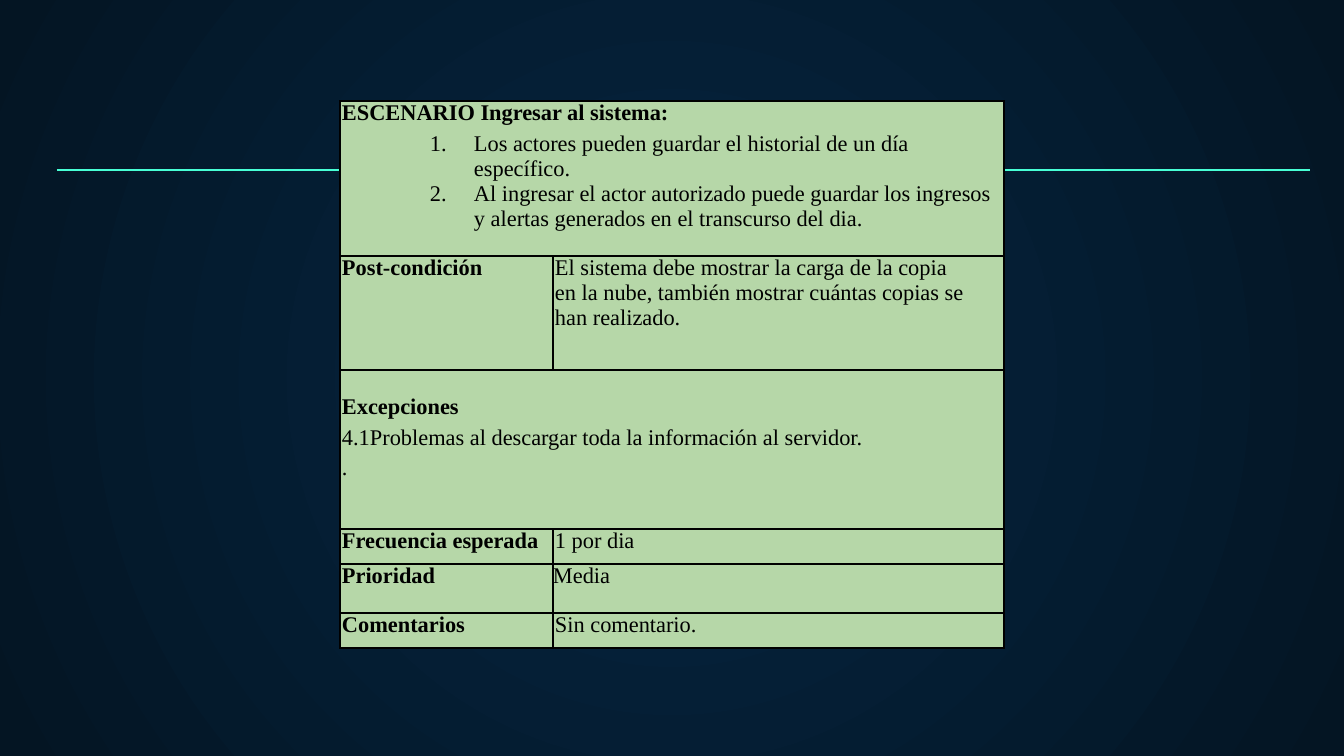
from dataclasses import dataclass

from lxml.etree import SubElement
from pptx import Presentation
from pptx.dml.color import RGBColor
from pptx.enum.shapes import MSO_CONNECTOR
from pptx.oxml.ns import qn
from pptx.table import _Cell
from pptx.util import Pt

EMU_PER_PX = 914400 / 134.4
FONT = "Times New Roman"
BLACK, GREEN, AQUA = "000000", "B6D7A8", "48FFD5"
CENTRE_BLUE, EDGE_BLUE = "052643", "041523"


def px(length: int) -> int:
    return round(length * EMU_PER_PX)


def colour(value: str) -> RGBColor:
    return RGBColor.from_string(value)


@dataclass
class Line:
    text: str
    bold: bool = False
    numbered: bool = False
    before: float = 0


@dataclass
class Entry:
    lines: list[Line]
    top: int = 0
    left: int = 2
    right: int = 0


@dataclass
class Row:
    height: int
    entries: list[Entry]  # a single entry spans the whole row


def label(text: str) -> Entry:
    return Entry([Line(text, bold=True)])


ROWS = [
    Row(155, [Entry([
        Line("ESCENARIO Ingresar al sistema:", bold=True),
        Line("Los actores pueden guardar el historial de un día específico.",
             numbered=True, before=3),
        Line("Al ingresar el actor autorizado puede guardar los ingresos y alertas "
             "generados en el transcurso del dia.", numbered=True),
    ])]),
    Row(114, [label("Post-condición"), Entry([
        Line("El sistema debe mostrar la carga de la copia en la nube, también "
             "mostrar cuántas copias se han realizado.")], right=30)]),
    Row(159, [Entry([
        Line("Excepciones", bold=True),
        Line("4.1Problemas al descargar toda la información al servidor.", before=3),
        Line(".", before=3),
    ], top=25)]),
    Row(35, [label("Frecuencia esperada"), Entry([Line("1 por dia")])]),
    Row(49, [label("Prioridad"), Entry([Line("Media")], left=0)]),
    Row(35, [label("Comentarios"), Entry([Line("Sin comentario.")])]),
]
COLUMN_WIDTHS = [213, 451]


def write(paragraph, text: str, *, bold: bool = False, numbered: bool = False,
          before: float = 0, size: int = 12, ink: str = BLACK) -> None:
    if before:
        paragraph.space_before = Pt(before)
    if numbered:
        properties = paragraph._p.get_or_add_pPr()
        properties.set("marL", str(px(132)))
        properties.set("indent", str(px(-44)))
        bullet_colour = SubElement(properties, qn("a:buClr"))
        SubElement(bullet_colour, qn("a:srgbClr"), val=ink)
        SubElement(properties, qn("a:buAutoNum"), type="arabicPeriod")
    run = paragraph.add_run()
    run.text = text
    run.font.name = FONT
    run.font.size = Pt(size)
    run.font.bold = bold
    run.font.color.rgb = colour(ink)


def add_borders(cell: _Cell) -> None:
    properties = cell._tc.get_or_add_tcPr()
    for position, side in enumerate(("a:lnL", "a:lnR", "a:lnT", "a:lnB")):
        border = properties.makeelement(qn(side), {"w": str(Pt(1))})
        fill = SubElement(border, qn("a:solidFill"))
        SubElement(fill, qn("a:srgbClr"), val=BLACK)
        properties.insert(position, border)


def format_cell(cell: _Cell) -> None:
    cell.fill.solid()
    cell.fill.fore_color.rgb = colour(GREEN)
    add_borders(cell)


def fill_cell(cell: _Cell, entry: Entry) -> None:
    cell.margin_left, cell.margin_right = px(entry.left), px(entry.right)
    cell.margin_top, cell.margin_bottom = px(entry.top), 0
    frame = cell.text_frame
    for index, line in enumerate(entry.lines):
        paragraph = frame.add_paragraph() if index else frame.paragraphs[0]
        write(paragraph, line.text, bold=line.bold, numbered=line.numbered,
              before=line.before)


def paint_background(slide) -> None:
    fill = slide.background.fill
    fill.gradient()
    for stop, value in zip(fill.gradient_stops, (CENTRE_BLUE, EDGE_BLUE)):
        stop.color.rgb = colour(value)
    # Turn the linear gradient into a circular one
    gradient = slide.background._cSld.find(".//" + qn("a:gradFill"))
    gradient.remove(gradient.find(qn("a:lin")))
    circle = SubElement(gradient, qn("a:path"), {"path": "circle"})
    SubElement(circle, qn("a:fillToRect"),
               {side: "50000" for side in ("l", "t", "r", "b")})


def add_rule(slide, left: int, right: int, y: int) -> None:
    rule = slide.shapes.add_connector(
        MSO_CONNECTOR.STRAIGHT, px(left), px(y), px(right), px(y))
    rule.line.color.rgb = colour(AQUA)
    rule.line.width = Pt(0.75)
    SubElement(rule._element.spPr, qn("a:effectLst"))


def add_use_case_table(slide, left: int, top: int) -> None:
    table = slide.shapes.add_table(
        len(ROWS), len(COLUMN_WIDTHS), px(left), px(top),
        px(sum(COLUMN_WIDTHS)), px(sum(row.height for row in ROWS))).table
    table.first_row = table.horz_banding = False
    for column, width in zip(table.columns, COLUMN_WIDTHS):
        column.width = px(width)
    for index, row in enumerate(ROWS):
        table.rows[index].height = px(row.height)
        cells = list(table.rows[index].cells)
        for cell in cells:
            format_cell(cell)
        if len(row.entries) == 1:
            cells[0].merge(cells[-1])
        for cell, entry in zip(cells, row.entries):
            fill_cell(cell, entry)


def main() -> None:
    presentation = Presentation()
    presentation.slide_width, presentation.slide_height = px(1344), px(756)
    slide = presentation.slides.add_slide(presentation.slide_layouts[6])
    paint_background(slide)
    add_rule(slide, 57, 1310, 170)
    add_use_case_table(slide, 340, 101)
    presentation.save("out.pptx")


if __name__ == "__main__":
    main()
